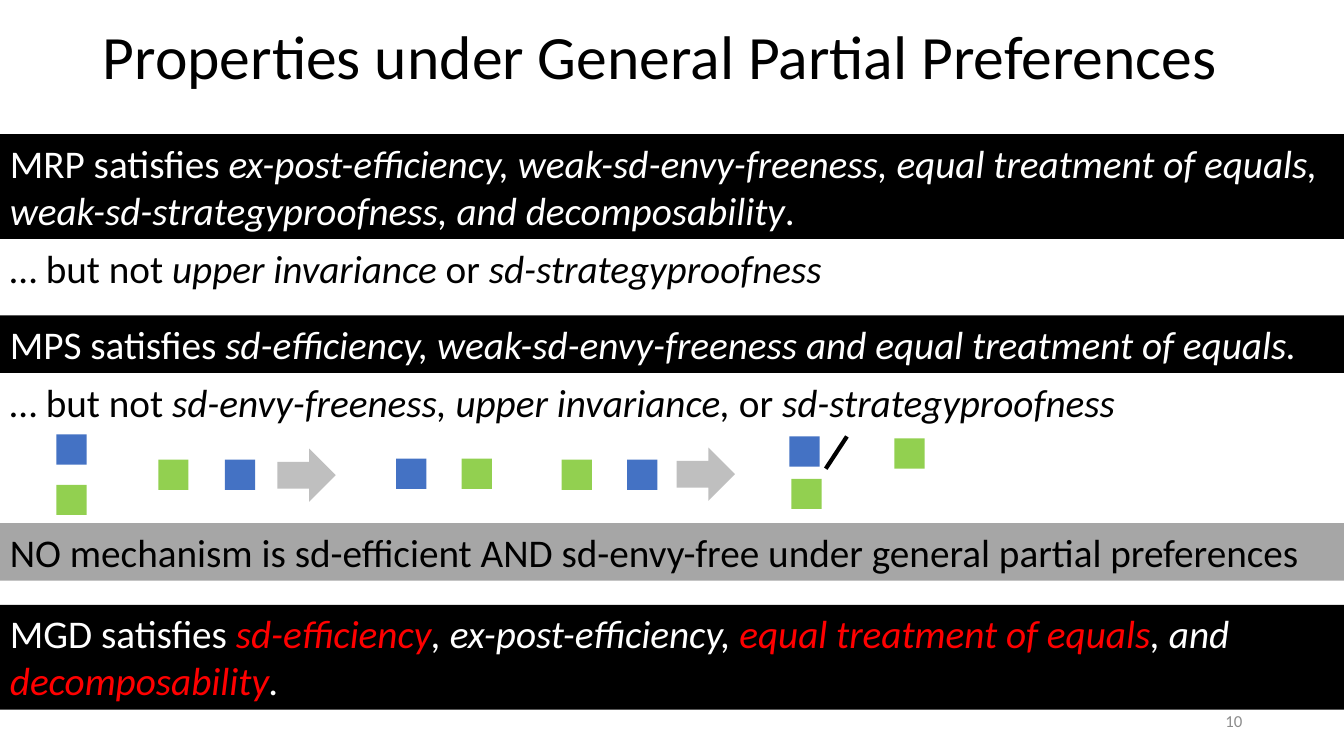
"""Build the slide on properties under general partial preferences."""
from lxml.etree import SubElement
from pptx import Presentation
from pptx.dml.color import RGBColor
from pptx.enum.shapes import MSO_CONNECTOR, MSO_SHAPE
from pptx.enum.text import MSO_ANCHOR, PP_ALIGN
from pptx.oxml.ns import qn
from pptx.util import Pt

PX = 9144
WIDE, HIGH = 1333, 750
BLACK, WHITE, RED = "000000", "FFFFFF", "FF0000"
BLUE, GREEN, GREY, SILVER = "4472C4", "92D050", "A6A6A6", "BFBFBF"

TITLE = "Properties under General Partial Preferences"
NUMBER = "10"

# Each run is text, colour, italic.
BANDS = [
    (133, 104, BLACK, [
        ("MRP satisfies ", WHITE, False),
        ("ex-post-efficiency, weak-sd-envy-freeness, equal treatment of equals, "
         "weak-sd-strategyproofness, and decomposability", WHITE, True),
        (".", WHITE, False)]),
    (313, 57, BLACK, [
        ("MPS satisfies ", WHITE, False),
        ("sd-efficiency, weak-sd-envy-freeness and equal treatment of equals.", WHITE, True)]),
    (519, 57, GREY, [
        ("NO mechanism is sd-efficient AND sd-envy-free under general partial preferences",
         BLACK, False)]),
    (600, 104, BLACK, [
        ("MGD satisfies ", WHITE, False),
        ("sd-efficiency", RED, True),
        (", ex-post-efficiency, ", WHITE, True),
        ("equal treatment of equals", RED, True),
        (", and ", WHITE, True),
        ("decomposability", RED, True),
        (".", WHITE, True)]),
]
LIMITS = [
    (237, 834, [
        ("… but not ", BLACK, False),
        ("upper invariance ", BLACK, True),
        ("or ", BLACK, False),
        ("sd-strategyproofness", BLACK, True)]),
    (370, 1129, [
        ("… but not ", BLACK, False),
        ("sd-envy-freeness, upper invariance, ", BLACK, True),
        ("or ", BLACK, False),
        ("sd-strategyproofness", BLACK, True)]),
]
SIDE = 30
SQUARES = {
    BLUE: [(56, 431), (223, 456), (393, 455), (622, 456), (783, 433)],
    GREEN: [(56, 481), (157, 456), (458, 455), (557, 456), (785, 475), (887, 435)],
}
ARROWS = [(275, 445), (671, 444)]
SLASH = (819, 465, 840, 433)


def emu(*sizes):
    """Turn px lengths into EMU."""
    return [size * PX for size in sizes]


def tint(code):
    """Turn a hex string into a colour."""
    return RGBColor.from_string(code)


def write(frame, runs, size=28, align=PP_ALIGN.LEFT):
    """Add styled runs to the first paragraph of a frame."""
    para = frame.paragraphs[0]
    para.alignment = align
    for text, code, slant in runs:
        run = para.add_run()
        run.text = text
        font = run.font
        font.name, font.size, font.italic = "Calibri", Pt(size), slant
        font.color.rgb = tint(code)
    return para


def block(slide, kind, box, code):
    """Add a flat filled shape."""
    shape = slide.shapes.add_shape(kind, *emu(*box))
    shape.shadow.inherit = False
    shape.fill.solid()
    shape.fill.fore_color.rgb = tint(code)
    shape.line.fill.background()
    return shape


def main():
    """Lay out the slide and save it."""
    deck = Presentation()
    deck.slide_width, deck.slide_height = emu(WIDE, HIGH)
    slide = deck.slides.add_slide(deck.slide_layouts[5])
    shapes = slide.shapes

    title = shapes.title
    title.left, title.top, title.width, title.height = emu(92, 7, 1150, 104)
    title.text_frame.vertical_anchor = MSO_ANCHOR.MIDDLE
    write(title.text_frame, [(TITLE, BLACK, False)], 44).line_spacing = 0.9

    frame = shapes.add_textbox(*emu(942, 695, 300, 40)).text_frame
    frame.word_wrap = True
    frame.vertical_anchor = MSO_ANCHOR.MIDDLE
    write(frame, [(NUMBER, "8C8C8C", False)], 12, PP_ALIGN.RIGHT)

    for top, high, code, runs in BANDS:
        frame = block(slide, MSO_SHAPE.RECTANGLE, (0, top, WIDE, high), code).text_frame
        frame.word_wrap = True
        frame.vertical_anchor = MSO_ANCHOR.TOP
        write(frame, runs)

    for top, wide, runs in LIMITS:
        frame = shapes.add_textbox(*emu(0, top, wide, 57)).text_frame
        frame.word_wrap = False
        write(frame, runs)

    for code, spots in SQUARES.items():
        for spot in spots:
            block(slide, MSO_SHAPE.RECTANGLE, (*spot, SIDE, SIDE), code)
    for spot in ARROWS:
        block(slide, MSO_SHAPE.RIGHT_ARROW, (*spot, 58, 53), SILVER)

    slash = shapes.add_connector(MSO_CONNECTOR.STRAIGHT, *emu(*SLASH))
    slash.line.color.rgb = tint(BLACK)
    slash.line.width = Pt(3)
    SubElement(slash.element.spPr, qn("a:effectLst"))

    deck.save("out.pptx")


if __name__ == "__main__":
    main()
